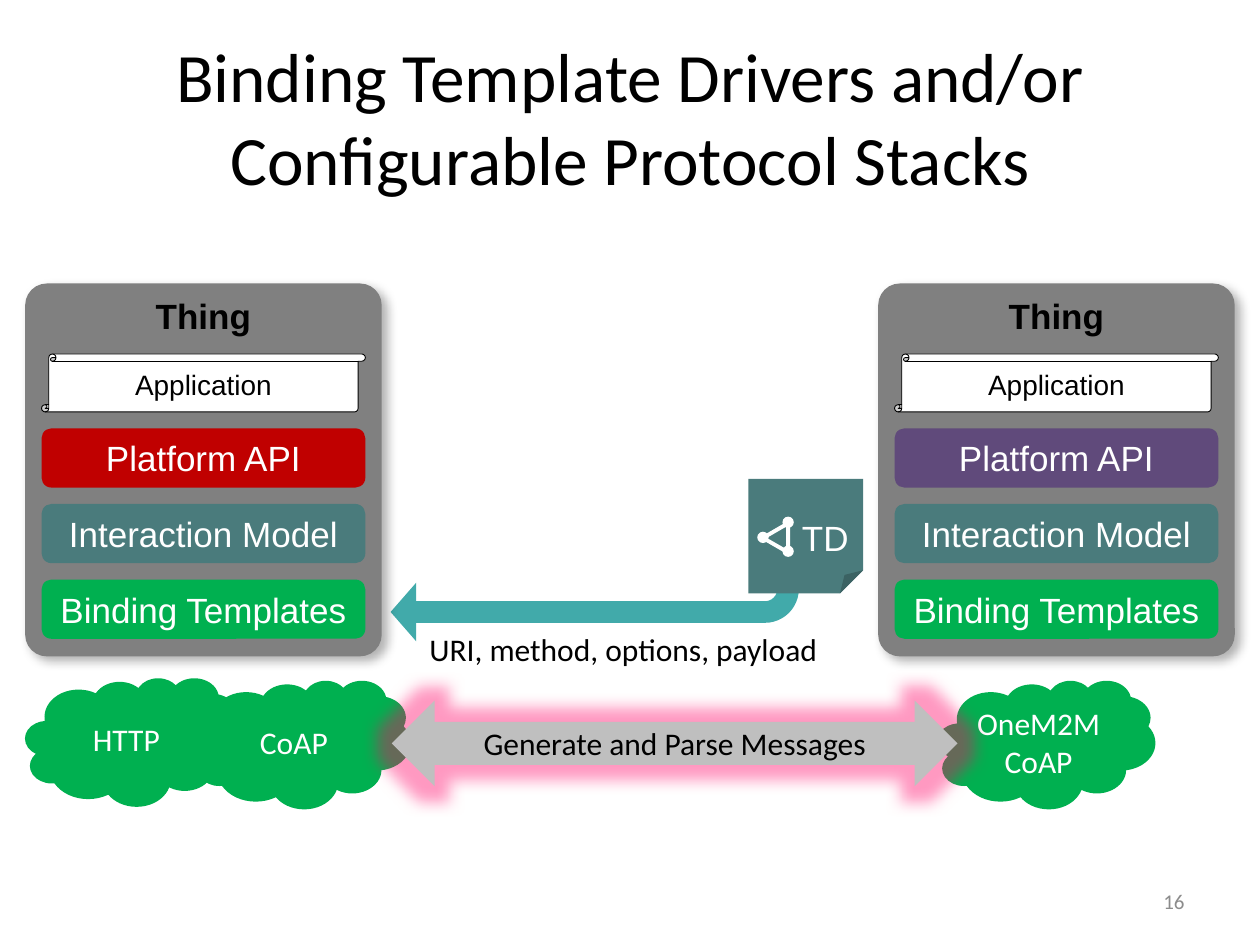
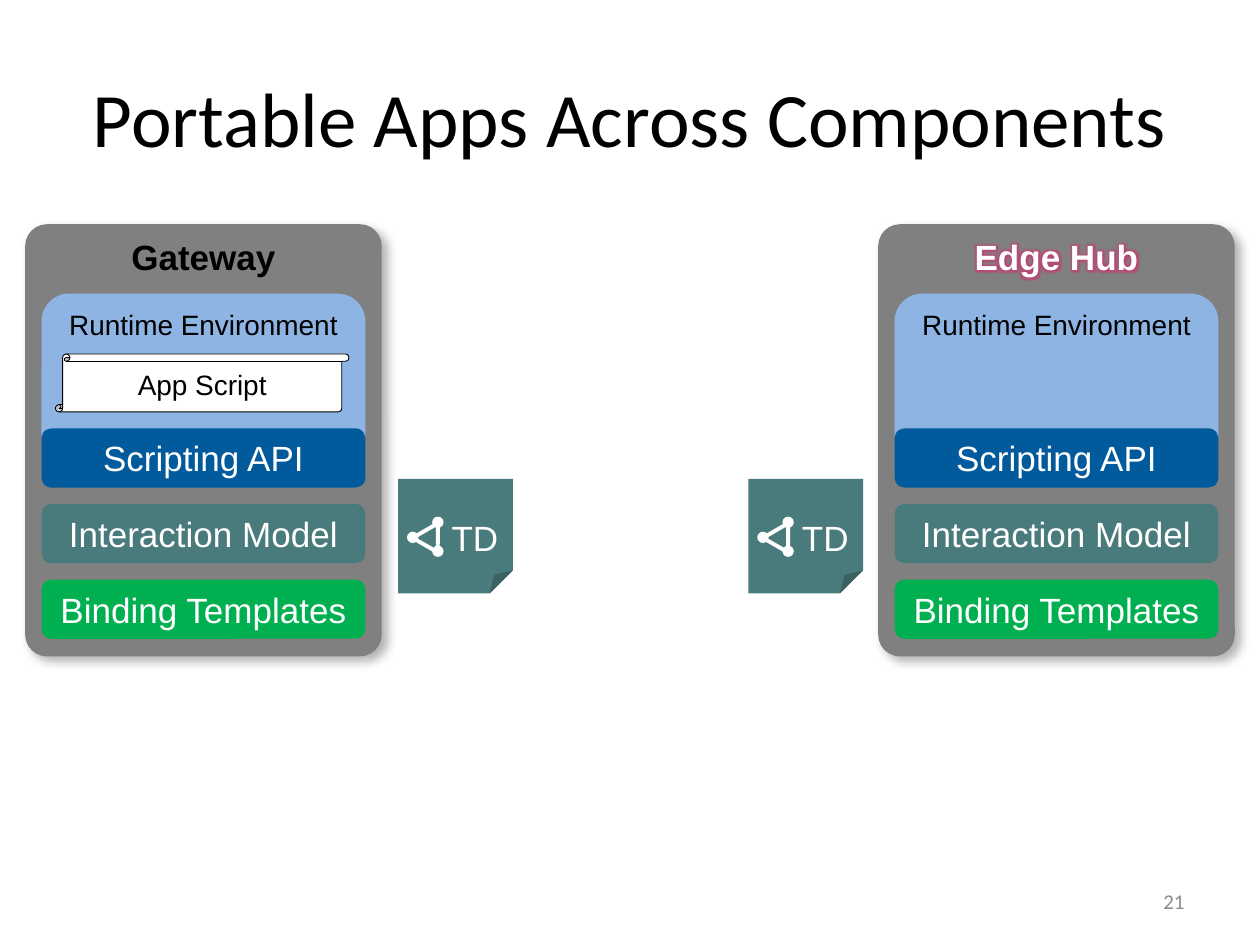
from lxml import etree
from pptx import Presentation
from pptx.dml.color import RGBColor
from pptx.enum.shapes import MSO_SHAPE as Kind
from pptx.enum.text import MSO_ANCHOR as Anchor, PP_ALIGN as Align
from pptx.oxml.ns import qn
from pptx.util import Inches, Pt

BLACK, WHITE = "000000", "FFFFFF"
GRAY, SILVER, PALE = "808080", "BFBFBF", "8C8C8C"
GREEN, TEAL, AQUA = "00B050", "4A7B7C", "41AAAA"
RED, PURPLE, BLUE, SKY = "C00000", "604A7B", "005A9C", "8EB4E3"
PINK = "FF0066"
SANS, BODY = "Arial", "Calibri"

LEFT, RIGHT = 0.2, 6.97      # left edges of the two cards
CARD_W, CARD_END = 2.83, 5.21
PAD = 0.13                   # from card edge to its layers
LAYER_W, LAYER_H = 2.57, 0.47
API_Y, STEP = 3.4, 0.6
TD_LEFT, TD_RIGHT = 3.16, 5.94


def color(text):
    return RGBColor.from_string(text)


def effect(parent, tag, tint, alpha, **sizes):
    """Add a glow or shadow; alpha is a percentage and sizes are EMU or angles."""
    effects = parent.find(qn("a:effectLst"))
    if effects is None:
        effects = etree.SubElement(parent, qn("a:effectLst"))
    node = etree.SubElement(effects, qn(tag))
    for key, value in sizes.items():
        node.set(key, str(int(value)))
    paint = etree.SubElement(node, qn("a:srgbClr"), val=tint)
    etree.SubElement(paint, qn("a:alpha"), val=str(alpha * 1000))


def adjust(shape, values):
    """Set the preset's guides, also those that python-pptx does not list."""
    guides = shape._element.spPr.find(qn("a:prstGeom")).find(qn("a:avLst"))
    for guide in list(guides):
        guides.remove(guide)
    for i, value in enumerate(values, 1):
        name = f"adj{i}" if len(values) > 1 else "adj"
        etree.SubElement(guides, qn("a:gd"), name=name,
                         fmla=f"val {round(value * 100000)}")


def write(frame, text, size, tint, font=BODY, bold=False, align=Align.CENTER):
    """Write the lines of text in one paragraph and return its last run."""
    para = frame.paragraphs[0]
    para.alignment = align
    for i, line in enumerate(text.split("\n")):
        if i:
            para.add_line_break()
        run = para.add_run()
        run.text = line
        run.font.name, run.font.size, run.font.bold = font, Pt(size), bold
        run.font.color.rgb = color(tint)
    return run


def inset(frame, left, top, right, bottom):
    frame.margin_left, frame.margin_top = Inches(left), Inches(top)
    frame.margin_right, frame.margin_bottom = Inches(right), Inches(bottom)


def draw(shapes, kind, box, fill=None, line=None, width=0.5, adj=(), turn=0):
    shape = shapes.add_shape(kind, *map(Inches, box))
    shape.shadow.inherit = False
    shape.rotation = turn
    if adj:
        adjust(shape, adj)
    if fill:
        shape.fill.solid()
        shape.fill.fore_color.rgb = color(fill)
    else:
        shape.fill.background()
    if line:
        shape.line.color.rgb = color(line)
        shape.line.width = Pt(width)
    else:
        shape.line.fill.background()
    return shape


def label(shape, text, size, tint, font=SANS, anchor=Anchor.MIDDLE,
          wrap=False, bold=False):
    frame = shape.text_frame
    frame.word_wrap = wrap
    frame.vertical_anchor = anchor
    return write(frame, text, size, tint, font, bold)


def card(shapes, x, top, name, tint=BLACK):
    shape = draw(shapes, Kind.ROUNDED_RECTANGLE,
                 (x, top, CARD_W, CARD_END - top), GRAY, adj=[0.061])
    effect(shape._element.spPr, "a:outerShdw", BLACK, 30,
           blurRad=Pt(6), dist=Pt(4), dir=45 * 60000)
    inset(shape.text_frame, 0.1, 0.04, 0.1, 0.08)
    return label(shape, name, 20, tint, anchor=Anchor.TOP, bold=True)


def stack(shapes, x, api, fill):
    """Draw the three layers at the foot of a card."""
    layers = [(api, fill), ("Interaction Model", TEAL),
              ("Binding Templates", GREEN)]
    for i, (text, paint) in enumerate(layers):
        box = (x + PAD, API_Y + i * STEP, LAYER_W, LAYER_H)
        label(draw(shapes, Kind.ROUNDED_RECTANGLE, box, paint), text, 20, WHITE)


def scroll(shapes, x, width, text):
    shape = draw(shapes, Kind.VERTICAL_SCROLL, (x, 2.81, width, 0.46),
                 WHITE, BLACK)
    label(shape, text, 16, BLACK)


def runtime(shapes, x):
    shape = draw(shapes, Kind.ROUNDED_RECTANGLE,
                 (x + PAD, 2.33, LAYER_W, 1.32), SKY)
    label(shape, "Runtime Environment", 16, BLACK, anchor=Anchor.TOP)


def badge(shapes, x, y=3.8):
    """Draw the folded TD note with its graph sign."""
    group = shapes.add_group_shape().shapes
    sheet = draw(group, Kind.FOLDED_CORNER, (x, y, 0.91, 0.91), TEAL,
                 adj=[0.202])
    inset(sheet.text_frame, 0.31, 0.2, 0, 0)
    label(sheet, "TD", 20, WHITE)
    draw(group, Kind.ISOSCELES_TRIANGLE, (x + 0.15, y + 0.34, 0.23, 0.2),
         line=WHITE, width=2.25, turn=30)
    for dx, dy in [(0.27, 0.3), (0.07, 0.42), (0.27, 0.53)]:
        draw(group, Kind.OVAL, (x + dx, y + dy, 0.09, 0.09), WHITE)


def cloud(shapes, x, y, text, wrap=True):
    shape = draw(shapes, Kind.CLOUD, (x, y, 1.73, 1.02), GREEN)
    label(shape, text, 18, WHITE, BODY, wrap=wrap)


def note(shapes, box, text, size, tint, align, wrap=True, anchor=Anchor.TOP):
    frame = shapes.add_textbox(*map(Inches, box)).text_frame
    frame.word_wrap = wrap
    frame.vertical_anchor = anchor
    write(frame, text, size, tint, align=align)


def start(deck, title, size, number):
    """Add a slide with its title and number and return its shapes."""
    shapes = deck.slides.add_slide(deck.slide_layouts[5]).shapes
    head = shapes.title
    head.left, head.top = Inches(0.5), Inches(0.3)
    head.width, head.height = Inches(9), Inches(1.25)
    head.text_frame.vertical_anchor = Anchor.MIDDLE
    write(head.text_frame, title, size, BLACK)
    note(shapes, (7.17, 6.95, 2.33, 0.4), str(number), 12, PALE, Align.RIGHT,
         anchor=Anchor.MIDDLE)
    return shapes


def drivers(deck):
    shapes = start(deck, "Binding Template Drivers and/or\n"
                   "Configurable Protocol Stacks", 39.6, 16)
    draw(shapes, Kind.BENT_ARROW, (3.1, 4.46, 3.24, 0.63), AQUA,
         adj=[0.272, 0.37, 0.323, 0.427], turn=180)
    cloud(shapes, 1.53, 5.4, "CoAP")
    cloud(shapes, 0.2, 5.38, "HTTP")
    for x, fill in [(LEFT, RED), (RIGHT, PURPLE)]:
        card(shapes, x, 2.25, "Thing")
        stack(shapes, x, "Platform API", fill)
        scroll(shapes, x + PAD, LAYER_W, "Application")
    badge(shapes, TD_RIGHT)
    cloud(shapes, 7.44, 5.4, "OneM2M\nCoAP", wrap=False)
    arrow = draw(shapes, Kind.LEFT_RIGHT_ARROW, (3.11, 5.56, 4.49, 0.68), SILVER)
    effect(arrow._element.spPr, "a:glow", PINK, 40, rad=Pt(18))
    label(arrow, "Generate and Parse Messages", 18, BLACK, BODY)
    note(shapes, (3.31, 4.95, 3.32, 0.4), "URI, method, options, payload",
         18, BLACK, Align.LEFT, wrap=False)


def portable(deck):
    shapes = start(deck, "Portable Apps Across Components", 44, 21)
    card(shapes, LEFT, 1.78, "Gateway")
    name = card(shapes, RIGHT, 1.78, "Edge Hub", WHITE)
    props = name.font._element
    effect(props, "a:glow", PINK, 40, rad=Pt(8))
    props.find(qn("a:solidFill")).addnext(props.find(qn("a:effectLst")))
    for x in (LEFT, RIGHT):
        runtime(shapes, x)
        stack(shapes, x, "Scripting API", BLUE)
    scroll(shapes, 0.44, 2.33, "App Script")
    for x in (TD_RIGHT, TD_LEFT):
        badge(shapes, x)


def main():
    deck = Presentation()
    deck.slide_width, deck.slide_height = Inches(10), Inches(7.5)
    drivers(deck)
    portable(deck)
    deck.save("out.pptx")


if __name__ == "__main__":
    main()
